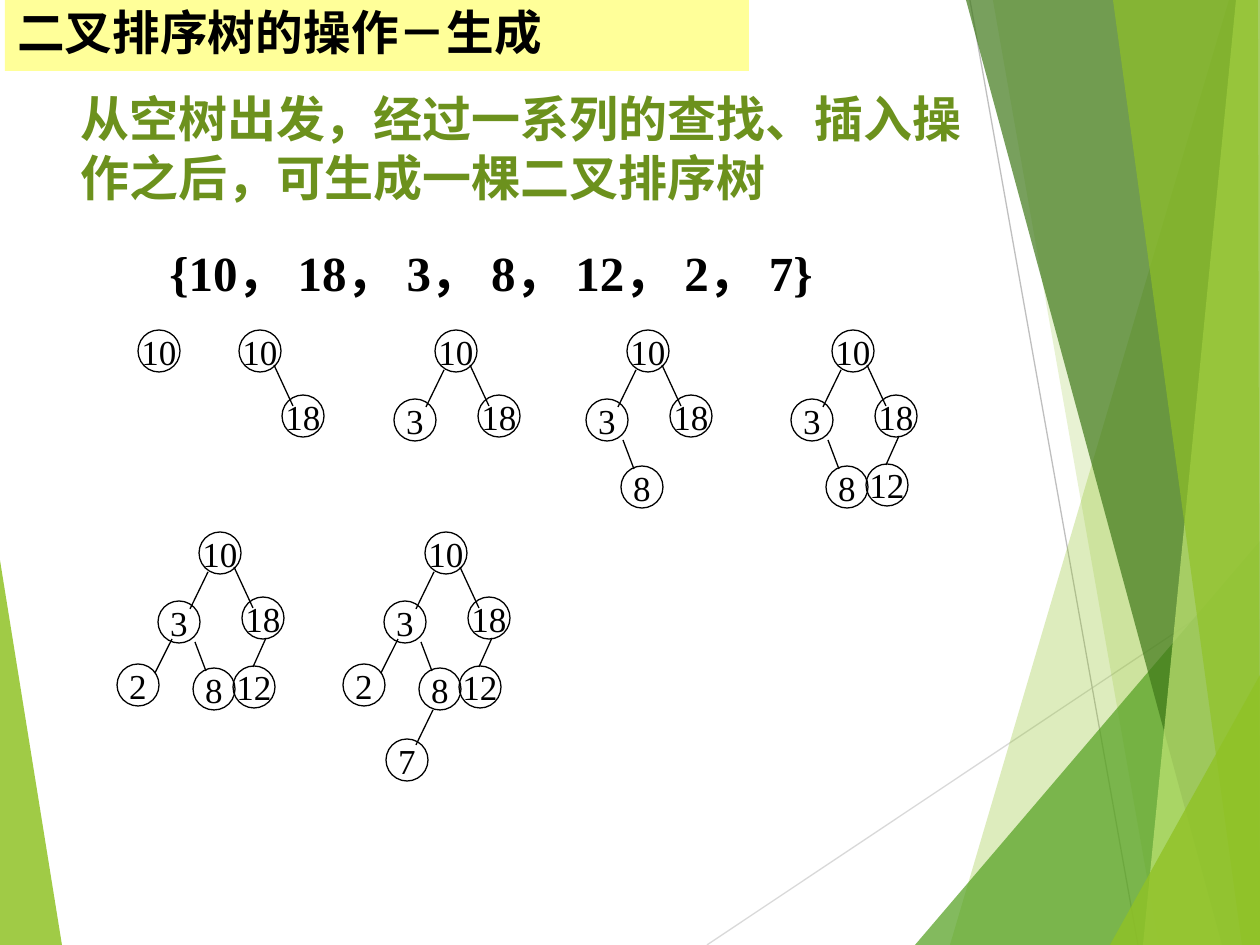
from lxml.etree import SubElement
from pptx import Presentation
from pptx.dml.color import RGBColor as RGB
from pptx.enum.shapes import MSO_CONNECTOR as CONN, MSO_SHAPE as SHAPE
from pptx.enum.text import MSO_ANCHOR as ANCHOR, PP_ALIGN as ALIGN
from pptx.oxml.ns import qn
from pptx.util import Pt

PX = 914400 // 126
COLORS = {
    "black": "000000", "white": "FFFFFF", "title": "FFFF99", "intro": "6C911D",
    "lime": "90C226", "green": "54A021", "forest": "3F7819", "pale": "C0E474",
    "silver": "D9D9D9", "gray": "BFBFBF",
}
FACETS = [
    ("lime", 30, [(1229, 0), (950, 945), (1260, 945), (1260, 0)]),
    ("lime", 20, [(993, 0), (1159, 945), (1260, 945), (1260, 0)]),
    ("green", 72, [(915, 945), (1260, 541), (1260, 945)]),
    ("forest", 70, [(966, 0), (1222, 945), (1260, 945), (1260, 0)]),
    ("pale", 70, [(1236, 0), (1143, 945), (1260, 945), (1260, 0)]),
    ("lime", 65, [(1113, 0), (1242, 945), (1260, 945), (1258, 0)]),
    ("lime", 80, [(1110, 945), (1260, 675), (1260, 945)]),
]
NODE_SIZE = 42
NODES = [
    (10, (0, 0), None),
    (18, (43, 65), (35, 35, 54, 76)),
    (3, (-41, 69), (9, 40, -9, 77)),
    (8, (-6, 136), (-4, 110, 7, 139)),
    (12, (34, 134), (67, 106, 54, 135)),
    (2, (-82, 132), (-27, 107, -44, 141)),
    (7, (-39, 207), (8, 178, -9, 213)),
]
ROOTS = [(138, 330), (239, 330), (435, 330), (627, 330), (832, 330),
         (199, 532), (425, 532)]


def px(*values):
    """Turn pixel lengths into EMU."""
    return [v * PX for v in values]


def color(name):
    """Look up a named colour."""
    return RGB.from_string(COLORS[name])


def add_facet(shapes, fill, alpha, points):
    """Draw one translucent polygon of the background."""
    builder = shapes.build_freeform(*points[0], scale=PX)
    builder.add_line_segments(points[1:], close=True)
    sp = builder.convert_to_shape()
    sp.shadow.inherit = False
    sp.fill.solid()
    sp.fill.fore_color.rgb = color(fill)
    srgb = sp.fill._xPr.find(qn("a:solidFill"))[0]
    SubElement(srgb, qn("a:alpha")).set("val", str(alpha * 1000))
    sp.line.fill.background()


def add_line(shapes, ends, stroke="black"):
    """Draw a thin straight line."""
    line = shapes.add_connector(CONN.STRAIGHT, *px(*ends))
    line.line.color.rgb = color(stroke)
    line.line.width = Pt(0.75)
    SubElement(line._element.spPr, qn("a:effectLst"))


def set_text(sp, text, size, font, ink="black", bold=False, anchor=ANCHOR.MIDDLE,
             align=ALIGN.LEFT, wrap=True):
    """Put one styled paragraph into a shape."""
    tf = sp.text_frame
    tf.word_wrap = wrap
    tf.vertical_anchor = anchor
    p = tf.paragraphs[0]
    p.text = text
    p.alignment = align
    p.font.size = Pt(size)
    p.font.name = font
    p.font.bold = bold
    p.font.color.rgb = color(ink)
    return p


def add_node(shapes, key, x, y):
    """Draw one tree node with its key."""
    sp = shapes.add_shape(SHAPE.OVAL, *px(x, y, NODE_SIZE, NODE_SIZE))
    sp.shadow.inherit = False
    sp.fill.background()
    sp.line.color.rgb = color("black")
    sp.line.width = Pt(0.75)
    set_text(sp, str(key), 20, "Times New Roman", align=ALIGN.CENTER, wrap=False)


def add_tree(shapes, root, count):
    """Draw the search tree after the first count insertions."""
    x, y = root
    group = shapes.add_group_shape().shapes
    for key, (dx, dy), edge in NODES[:count]:
        add_node(group, key, x + dx, y + dy)
        if edge:
            x1, y1, x2, y2 = edge
            add_line(group, (x + x1, y + y1, x + x2, y + y2))


def add_background(shapes):
    """Draw the green facets and the two fine lines."""
    add_facet(shapes, "lime", 85, [(0, 560), (62, 945), (0, 945)])
    add_line(shapes, (707, 945, 1260, 576), "silver")
    add_line(shapes, (970, 0, 1138, 945), "gray")
    for facet in FACETS:
        add_facet(shapes, *facet)


def add_title(shapes):
    """Draw the title band."""
    sp = shapes.add_shape(SHAPE.RECTANGLE, *px(5, 0, 744, 71))
    sp.shadow.inherit = False
    sp.fill.solid()
    sp.fill.fore_color.rgb = color("title")
    sp.line.fill.background()
    p = set_text(sp, "二叉排序树的操作－生成", 27.2, "Noto Sans CJK SC", bold=True)
    p.line_spacing = 0.9


def main():
    """Build the slide and save it."""
    prs = Presentation()
    prs.slide_width, prs.slide_height = px(1260, 945)
    s = prs.slides.add_slide(prs.slide_layouts[6])
    s.background.fill.solid()
    s.background.fill.fore_color.rgb = color("white")
    add_background(s.shapes)
    sequence = s.shapes.add_textbox(*px(157, 195, 1023, 113))
    set_text(sequence, "{10， 18， 3， 8， 12， 2， 7}", 28, "Times New Roman",
             bold=True, anchor=ANCHOR.BOTTOM)
    for count, root in enumerate(ROOTS, 1):
        add_tree(s.shapes, root, count)
    intro = s.shapes.add_textbox(*px(68, 82, 919, 131))
    set_text(intro, "从空树出发，经过一系列的查找、插入操作之后，可生成一棵二叉排序树",
             28, "Arial", "intro", bold=True, anchor=ANCHOR.TOP)
    add_title(s.shapes)
    prs.save("out.pptx")


if __name__ == "__main__":
    main()
